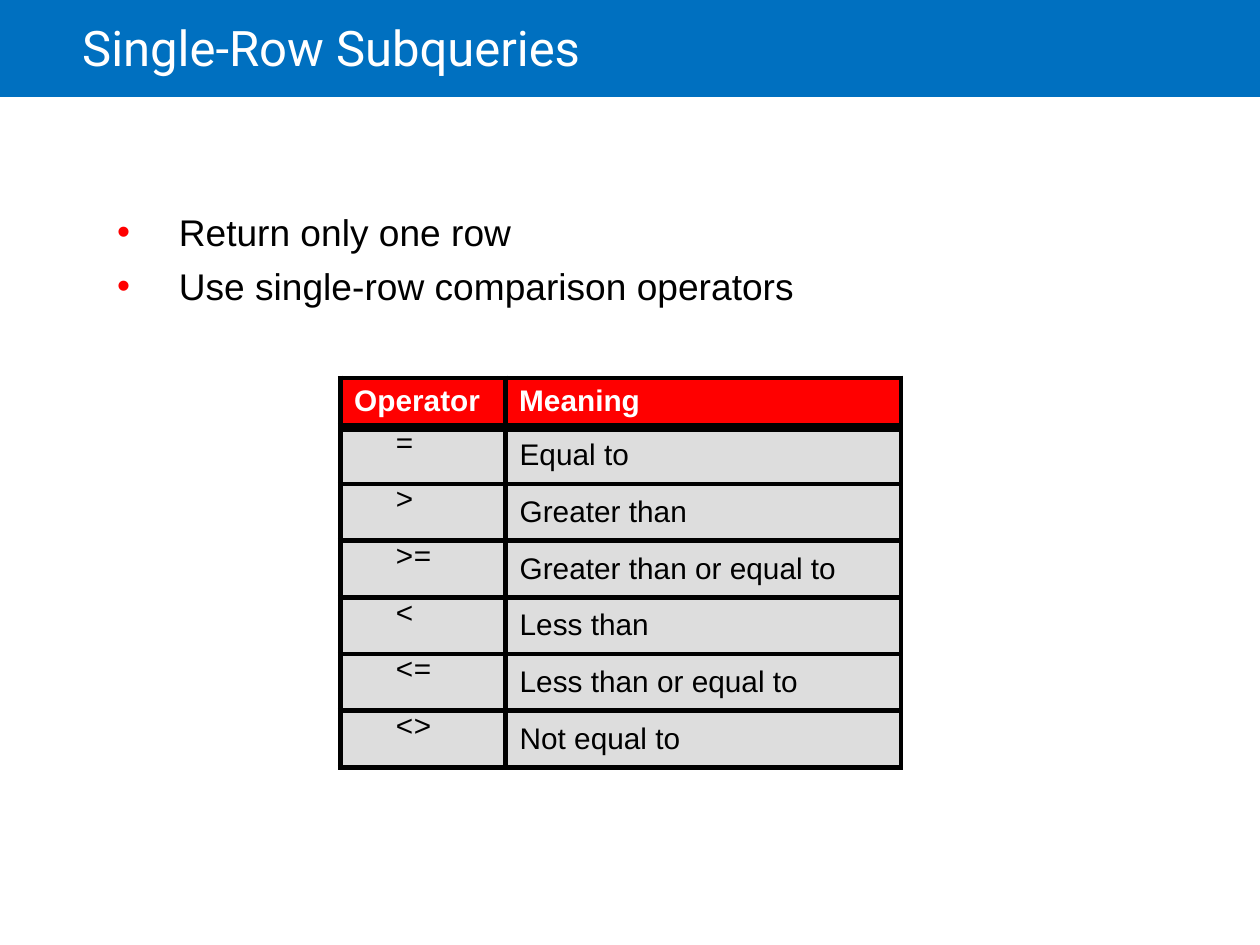
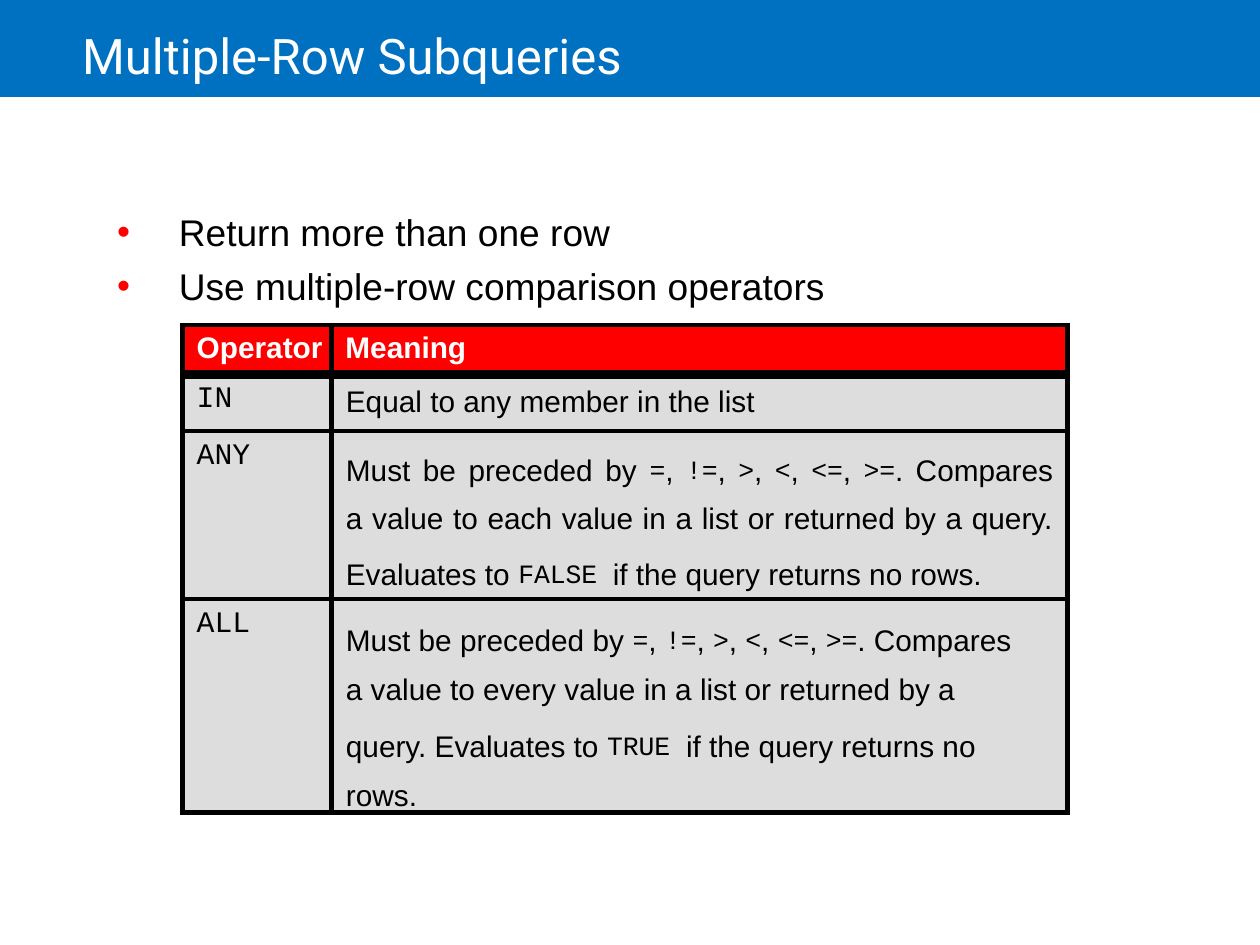
from lxml.etree import SubElement
from pptx import Presentation
from pptx.dml.color import RGBColor
from pptx.enum.shapes import MSO_SHAPE
from pptx.enum.text import MSO_ANCHOR, MSO_AUTO_SIZE, PP_ALIGN
from pptx.oxml.ns import qn
from pptx.util import Pt

BLUE = RGBColor(0x00, 0x70, 0xC0)
RED = RGBColor(0xFF, 0x00, 0x00)
GREY = RGBColor(0xDD, 0xDD, 0xDD)
BLACK = RGBColor(0x00, 0x00, 0x00)
WHITE = RGBColor(0xFF, 0xFF, 0xFF)
SANS, MONO, DISPLAY = "Arial", "Courier New", "Roboto"
HEADER_HEIGHT, ROW_HEIGHT = 28.1, 32.4

SUBQUERIES = [
    dict(
        title="Single-Row Subqueries", title_box=(47, 9.4, 636, 34.6), list_width=391,
        points=["Return only one row", "Use single-row comparison operators"],
        table_at=(194.4, 216), columns=(94.3, 226.1),
        heights=[HEADER_HEIGHT] + [ROW_HEIGHT] * 6,
        operator_margins=(31.7, 0.7),
        operators=[
            ("=", "Equal to"), (">", "Greater than"), (">=", "Greater than or equal to"),
            ("<", "Less than"), ("<=", "Less than or equal to"), ("<>", "Not equal to"),
        ],
        long_meanings={},
    ),
    dict(
        title="Multiple-Row Subqueries", title_box=(47, 13.7, 614, 34.6), list_width=409,
        points=["Return more than one row", "Use multiple-row comparison operators"],
        table_at=(104.4, 185.8), columns=(85, 420.5),
        heights=[HEADER_HEIGHT, ROW_HEIGHT, 81.4, 105.8],
        operator_margins=(8, 5),
        operators=[
            ("IN", "Equal to any member in the list"),
            ("ANY", "Must be preceded by `=`, `!=`, `>`, `<`, `<=`, `>=`. Compares\v"
                    "a value to each value in a list or returned by a query. "
                    "Evaluates to `FALSE `if the query returns no rows."),
            ("ALL", "Must be preceded by `=`, `!=`, `>`, `<`, `<=`, `>=`. Compares "
                    "a value to every value in a list or returned by a query. "
                    "Evaluates to `TRUE `if the query returns no rows."),
        ],
        long_meanings={"ANY": (PP_ALIGN.JUSTIFY, 1.22, 8), "ALL": (PP_ALIGN.LEFT, 1.25, 18)},
    ),
]


def style_runs(paragraph, font_name, size, color, bold=False):
    for run in paragraph.runs:
        run.font.name = font_name
        run.font.size = Pt(size)
        run.font.color.rgb = color
        run.font.bold = bold


def format_cell(cell, fill, margins, top_border=3, bottom_border=3):
    borders = {"a:lnL": 3, "a:lnR": 3, "a:lnT": top_border, "a:lnB": bottom_border}
    properties = cell._tc.get_or_add_tcPr()
    for tag, width in borders.items():
        line = SubElement(properties, qn(tag), w=str(Pt(width)))
        SubElement(SubElement(line, qn("a:solidFill")), qn("a:srgbClr"), val=str(BLACK))
    cell.fill.solid()
    cell.fill.fore_color.rgb = fill
    cell.margin_left, cell.margin_top = [Pt(margin) for margin in margins]
    cell.margin_right = cell.margin_bottom = 0


prs = Presentation()
prs.slide_width, prs.slide_height = Pt(720), Pt(540)
layout = prs.slide_layouts[1]

for number, topic in enumerate(SUBQUERIES):
    slide = prs.slides.add_slide(layout)
    if number == 0:
        band = slide.shapes.add_shape(MSO_SHAPE.RECTANGLE, 0, 0, prs.slide_width, Pt(55.4))
        band.shadow.inherit = False
        band.fill.solid()
        band.fill.fore_color.rgb = BLUE
        band.line.fill.background()
        band.element.nvSpPr.cNvPr.set("id", "20")
        layout.shapes.element.insert(2, band.element)

    heading, points = slide.placeholders
    list_box = (66.2, 113, topic["list_width"], 62.6)
    for holder, box, top_inset in ((heading, topic["title_box"], 0.7), (points, list_box, 6.5)):
        holder.left, holder.top, holder.width, holder.height = [Pt(v) for v in box]
        frame = holder.text_frame
        frame.word_wrap = True
        frame.auto_size = MSO_AUTO_SIZE.NONE
        frame.margin_left = frame.margin_right = frame.margin_bottom = 0
        frame.margin_top = Pt(top_inset)

    heading.text_frame.text = topic["title"]
    heading.text_frame.vertical_anchor = MSO_ANCHOR.MIDDLE
    title_line = heading.text_frame.paragraphs[0]
    title_line.alignment = PP_ALIGN.LEFT
    style_runs(title_line, DISPLAY, 28, WHITE)

    points.text_frame.text = "\n".join(topic["points"])
    points.text_frame.vertical_anchor = MSO_ANCHOR.TOP
    for index, point in enumerate(points.text_frame.paragraphs):
        properties = point._p.get_or_add_pPr()
        properties.set("marL", str(Pt(36)))
        properties.set("indent", str(-Pt(35.3)))
        SubElement(SubElement(properties, qn("a:buClr")), qn("a:srgbClr"), val=str(RED))
        SubElement(properties, qn("a:buChar"), char="•")
        point.space_before = Pt(5.3 if index else 0)
        style_runs(point, SANS, 21.2, BLACK)

    left, top = topic["table_at"]
    operators = slide.shapes.add_table(
        len(topic["heights"]), 2, Pt(left), Pt(top),
        Pt(sum(topic["columns"])), Pt(sum(topic["heights"]))).table
    operators.first_row = operators.horz_banding = False
    for column, width in zip(operators.columns, topic["columns"]):
        column.width = Pt(width)
    for row, height in zip(operators.rows, topic["heights"]):
        row.height = Pt(height)

    for column, label in enumerate(("Operator", "Meaning")):
        header = operators.cell(0, column)
        format_cell(header, RED, (8, 3.7), bottom_border=6)
        header.text_frame.text = label
        style_runs(header.text_frame.paragraphs[0], SANS, 17, WHITE, bold=True)

    for row, (symbol, meaning) in enumerate(topic["operators"], 1):
        top_border = 6 if row == 1 else 3
        symbol_cell, meaning_cell = operators.cell(row, 0), operators.cell(row, 1)
        format_cell(symbol_cell, GREY, topic["operator_margins"], top_border)
        symbol_cell.text_frame.text = symbol
        style_runs(symbol_cell.text_frame.paragraphs[0], MONO, 17, BLACK)

        is_long = symbol in topic["long_meanings"]
        format_cell(meaning_cell, GREY, (8.3, 0.7 if is_long else 6.5), top_border)
        explanation = meaning_cell.text_frame.paragraphs[0]
        if not is_long:
            explanation.text = meaning
            style_runs(explanation, SANS, 17, BLACK)
            continue
        alignment, spacing, right_margin = topic["long_meanings"][symbol]
        explanation.alignment = alignment
        explanation.line_spacing = spacing
        meaning_cell.margin_right = Pt(right_margin)
        for line_number, line in enumerate(meaning.split("\v")):
            if line_number:
                explanation.add_line_break()
            for part_number, part in enumerate(line.split("`")):
                explanation.add_run().text = part
                if part_number % 2:
                    explanation.runs[-1].font._element.set("baseline", "4000")
        style_runs(explanation, SANS, 17, BLACK)
        for run in explanation.runs:
            if run.font._element.get("baseline"):
                run.font.name, run.font.size = MONO, Pt(26)

prs.save("out.pptx")
